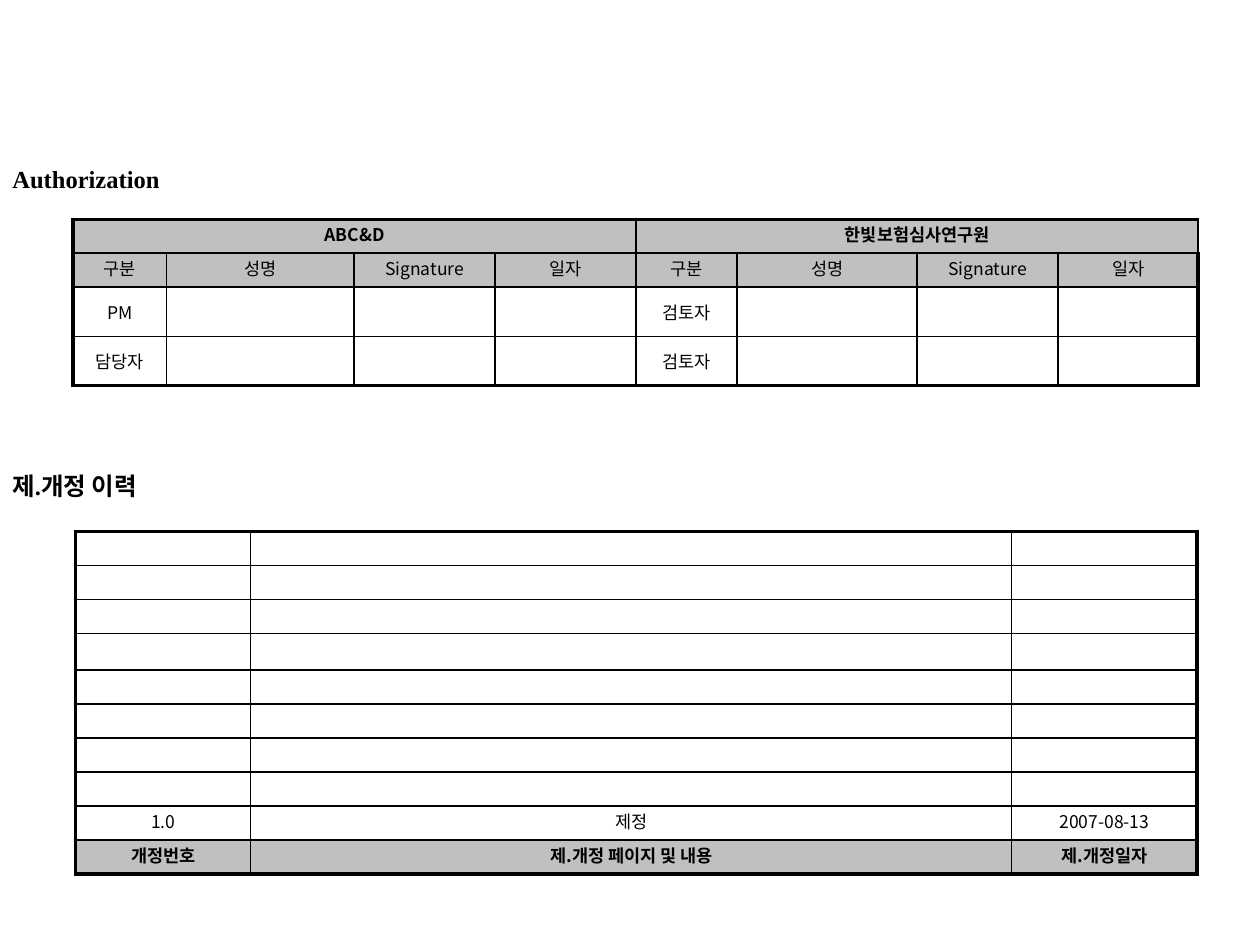
from lxml import etree
from pptx import Presentation
from pptx.dml.color import RGBColor
from pptx.enum.text import MSO_ANCHOR, PP_ALIGN
from pptx.oxml.ns import qn
from pptx.util import Inches, Pt

CENTER = PP_ALIGN.CENTER
TOP, MIDDLE = MSO_ANCHOR.TOP, MSO_ANCHOR.MIDDLE
BLACK, GRAY = "000000", "C0C0C0"
SERIF, SANS = "Times New Roman", "Noto Sans CJK KR"
THIN, THICK = 1, 2.25

SIGN_COLS = [0.74, 1.49, 1.12, 1.12, 0.8, 1.43, 1.12, 1.11]
SIGN_ROWS = [0.27, 0.27, 0.39, 0.39]
SIGN_TEXT = [
    ["ABC&D", "", "", "", "한빛보험심사연구원", "", "", ""],
    ["구분", "성명", "Signature", "일자"] * 2,
    ["PM", "", "", "", "검토자", "", "", ""],
    ["담당자", "", "", "", "검토자", "", "", ""],
]
HISTORY_COLS = [1.39, 6.04, 1.47]
HISTORY_ROWS = [0.27] * 3 + [0.29] + [0.27] * 6
HISTORY_TEXT = [[""] * 3 for _ in range(8)] + [
    ["1.0", "제정", "2007-08-13"],
    ["개정번호", "제.개정 페이지 및 내용", "제.개정일자"],
]


def rgb(value):
    """Turn a hex string into a colour."""
    return RGBColor.from_string(value)


def apply(obj, **values):
    """Set attributes of an object from format values."""
    for name, value in values.items():
        setattr(obj, name, value)


def add_text(p, text, size, font, bold):
    """Add a formatted run, with one font for Latin and Korean glyphs."""
    r = p.add_run()
    r.text = text
    apply(r.font, size=Pt(size), name=font, bold=bold)
    r.font.color.rgb = rgb(BLACK)
    etree.SubElement(r.font._element, qn("a:ea"), typeface=SANS)


def add_heading(slide, text, top):
    """Add a full-width section heading."""
    sp = slide.shapes.add_textbox(0, Inches(top), Inches(10), Inches(0.33))
    tf = sp.text_frame
    tf.word_wrap = True
    add_text(tf.paragraphs[0], text, 14, SERIF, True)


def set_borders(cell, widths):
    """Draw the left, right, top and bottom borders of a cell."""
    tcPr = cell._tc.get_or_add_tcPr()
    for side, width in zip("LRTB", widths):
        ln = etree.SubElement(tcPr, qn(f"a:ln{side}"), w=str(Pt(width)))
        fill = etree.SubElement(ln, qn("a:solidFill"))
        etree.SubElement(fill, qn("a:srgbClr"), val=BLACK)


def fill_cell(cell, text, shaded, bold, anchor):
    """Set the fill, margins and text of a cell."""
    apply(cell, margin_top=Inches(0.02), margin_bottom=Inches(0.02),
          vertical_anchor=anchor)
    if shaded:
        cell.fill.solid()
        cell.fill.fore_color.rgb = rgb(GRAY)
    else:
        cell.fill.background()
    p = cell.text_frame.paragraphs[0]
    apply(p, alignment=CENTER, space_before=Pt(2))
    if text:
        add_text(p, text, 10, SANS, bold)
    else:
        etree.SubElement(p._p, qn("a:endParaRPr"), sz="1000")


def add_grid(slide, left, top, cols, rows, texts, shaded, bold_row):
    """Add a table with a thick outer frame and thin inner lines."""
    last_row, last_col = len(rows) - 1, len(cols) - 1
    table = slide.shapes.add_table(
        len(rows), len(cols), Inches(left), Inches(top),
        Inches(sum(cols)), Inches(sum(rows))).table
    apply(table, first_row=False, horz_banding=False)
    for col, width in zip(table.columns, cols):
        col.width = Inches(width)
    for row, height in zip(table.rows, rows):
        row.height = Inches(height)
    for i, line in enumerate(texts):
        for j, text in enumerate(line):
            cell = table.cell(i, j)
            outer = (j == 0, j == last_col, i == 0, i == last_row)
            set_borders(cell, [THICK if edge else THIN for edge in outer])
            anchor = MIDDLE if rows[i] > 0.3 else TOP
            fill_cell(cell, text, i in shaded, i == bold_row, anchor)
    return table


def main():
    """Build the authorization and revision history slide."""
    prs = Presentation()
    apply(prs, slide_width=Inches(10), slide_height=Inches(7.5))
    slide = prs.slides.add_slide(prs.slide_layouts[6])
    add_heading(slide, "Authorization", 1.25)
    add_heading(slide, "제.개정 이력", 3.69)
    add_grid(slide, 0.6, 4.22, HISTORY_COLS, HISTORY_ROWS, HISTORY_TEXT,
             shaded=(9,), bold_row=9)
    sign = add_grid(slide, 0.58, 1.74, SIGN_COLS, SIGN_ROWS, SIGN_TEXT,
                    shaded=(0, 1), bold_row=0)
    for first in (0, 4):
        sign.cell(0, first).merge(sign.cell(0, first + 3))
    prs.save("out.pptx")


main()
